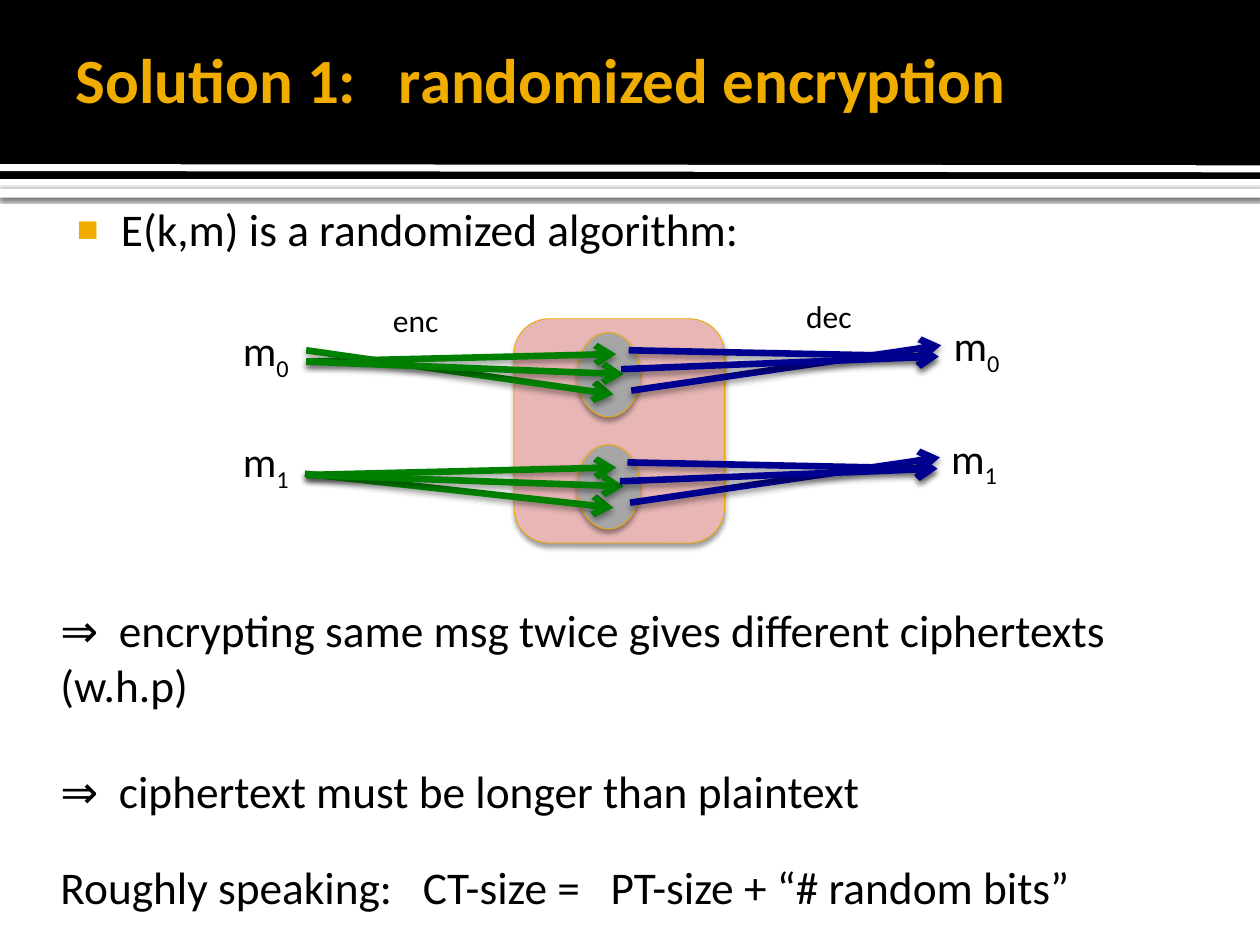
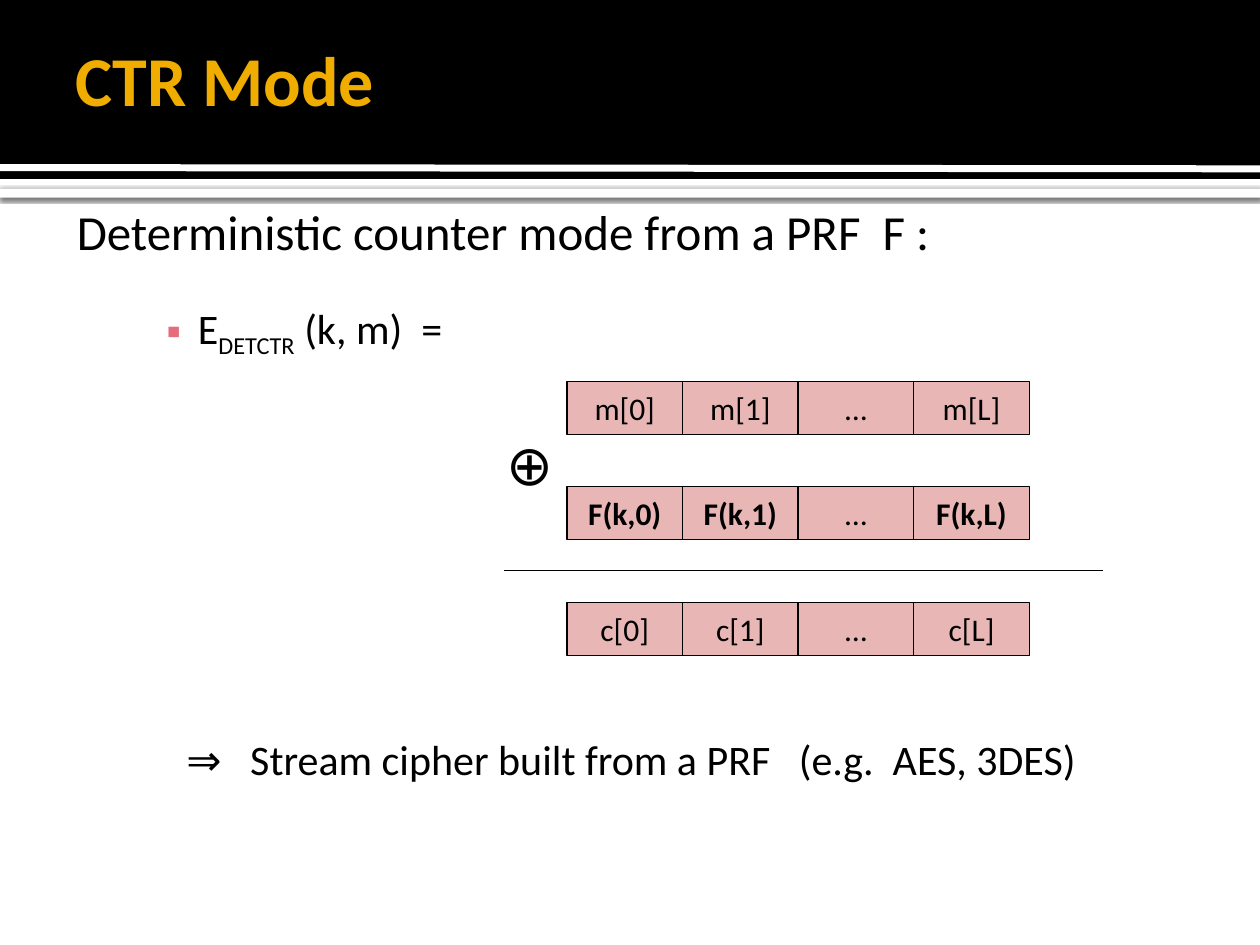
from dataclasses import dataclass

import pptx
import pptx.dml.color
import pptx.enum.shapes
import pptx.enum.text
import pptx.oxml
import pptx.oxml.ns
import pptx.util
from pptx.util import Inches, Pt

FONT = "Calibri"
BLACK, WHITE, GOLD = "000000", "FFFFFF", "F0AD00"
PINK, GREY, EDGE = "E8B6B5", "A6A6A6", "EBA900"
GREEN, BLUE, ROSE = "008000", "000090", "E66C7D"
SHAPES = pptx.enum.shapes.MSO_SHAPE
ANCHOR = pptx.enum.text.MSO_ANCHOR
ALIGN = pptx.enum.text.PP_ALIGN
NO_FIT = pptx.enum.text.MSO_AUTO_SIZE.NONE


@dataclass
class Shadow:
    opacity: int
    blur: float
    distance: float


@dataclass
class Bullet:
    symbol: str
    colour: str
    percent: int = 100


@dataclass
class Item:
    """A body paragraph; every second piece of its text is a subscript."""
    pieces: tuple[str, ...]
    size: float
    before: float = 0
    left: float = 0
    hanging: float = 0
    level: int = 0
    bullet: Bullet | None = None


@dataclass
class Fan:
    """Arrows between a message and its ciphertexts, as (x1, y1, x2, y2)."""
    colour: str
    message_at: tuple[float, float]
    index: str
    arrows: list[tuple[float, float, float, float]]


BAND_SHADOW = Shadow(60, 2.5, 0.8)
SHAPE_SHADOW = Shadow(38, 3.1, 2)
ARROW_SHADOW = Shadow(38, 3.5, 2)


def rgb(colour: str) -> pptx.dml.color.RGBColor:
    return pptx.dml.color.RGBColor.from_string(colour)


def add_xml(parent, markup: str) -> None:
    namespace = pptx.oxml.ns.nsdecls("a")
    tag, rest = markup[:-1].split(" ", 1) if " " in markup.split(">")[0] else (None, None)
    if tag is None:
        end = markup.index("/>") if markup.endswith("/>") else markup.index(">")
        markup = f"{markup[:end]} {namespace}{markup[end:]}"
    else:
        markup = f"{tag} {namespace} {rest}>"
    parent.append(pptx.oxml.parse_xml(markup))


def set_shadow(shape, shadow: Shadow | None) -> None:
    """Give the shape a downward shadow, or none."""
    effect = ""
    if shadow:
        effect = (f'<a:outerShdw blurRad="{Pt(shadow.blur)}" dist="{Pt(shadow.distance)}" '
                  f'dir="5400000" rotWithShape="0"><a:srgbClr val="{BLACK}">'
                  f'<a:alpha val="{shadow.opacity * 1000}"/></a:srgbClr></a:outerShdw>')
    add_xml(shape.element.spPr, f"<a:effectLst>{effect}</a:effectLst>")


def set_font(para, size: float, colour: str = BLACK, bold: bool = False) -> None:
    para.font.name = FONT
    para.font.size = Pt(size)
    para.font.bold = bold
    para.font.color.rgb = rgb(colour)


def add_spans(para, pieces: tuple[str, ...]) -> None:
    for number, piece in enumerate(pieces):
        span = para.add_run()
        span.text = piece
        if number % 2:
            span._r.get_or_add_rPr().set("baseline", "-25000")


def add_box(page, kind, left: float, top: float, width: float, height: float,
            fill: str, edge: str | None = None, weight: float = 0.5,
            shadow: Shadow | None = None):
    box = page.shapes.add_shape(kind, Inches(left), Inches(top),
                                Inches(width), Inches(height))
    box.fill.solid()
    box.fill.fore_color.rgb = rgb(fill)
    if edge:
        box.line.color.rgb = rgb(edge)
        box.line.width = Pt(weight)
    else:
        box.line.fill.background()
    set_shadow(box, shadow)
    return box


def add_line(page, ends: tuple[float, float, float, float], colour: str, weight: float,
             arrow: bool = False, shadow: Shadow | None = None):
    line = page.shapes.add_connector(pptx.enum.shapes.MSO_CONNECTOR.STRAIGHT,
                                     *(Inches(end) for end in ends))
    line.line.color.rgb = rgb(colour)
    line.line.width = Pt(weight)
    if arrow:
        add_xml(line.line._get_or_add_ln(), '<a:tailEnd type="arrow"/>')
    set_shadow(line, shadow)
    return line


def add_label(page, left: float, top: float, width: float, height: float,
              size: float, *pieces: str) -> None:
    box = page.shapes.add_textbox(Inches(left), Inches(top), Inches(width), Inches(height))
    box.text_frame.word_wrap = False
    para = box.text_frame.paragraphs[0]
    add_spans(para, pieces)
    set_font(para, size)


def place(holder, left: float, top: float, width: float, height: float,
          insets: tuple[float, float, float, float], anchor) -> None:
    holder.left, holder.top = Inches(left), Inches(top)
    holder.width, holder.height = Inches(width), Inches(height)
    frame = holder.text_frame
    frame.margin_left, frame.margin_top, frame.margin_right, frame.margin_bottom = (
        Inches(inset) for inset in insets)
    frame.vertical_anchor = anchor
    frame.word_wrap = True
    frame.auto_size = NO_FIT


def format_item(para, item: Item) -> None:
    add_spans(para, item.pieces)
    para.level = item.level
    para.line_spacing = 1.0
    para.space_before, para.space_after = Pt(item.before), Pt(0)
    properties = para._p.get_or_add_pPr()
    properties.set("marL", str(Inches(item.left)))
    properties.set("indent", str(Inches(-item.hanging)))
    if item.bullet:
        add_xml(properties, f'<a:buClr><a:srgbClr val="{item.bullet.colour}"/></a:buClr>')
        add_xml(properties, f'<a:buSzPct val="{item.bullet.percent * 1000}"/>')
        add_xml(properties, f'<a:buChar char="{item.bullet.symbol}"/>')
    else:
        add_xml(properties, "<a:buNone/>")
    set_font(para, item.size)


def add_page(deck, heading: str, heading_size: float, items: list[Item]):
    """Add a page with the shared bands, its title and its body list."""
    page = deck.slides.add_slide(deck.slide_layouts[1])
    title, body = page.shapes.title, page.placeholders[1]
    bands = [
        add_box(page, SHAPES.RECTANGLE, 0, 1.5, 10, 0.07, WHITE, shadow=BAND_SHADOW),
        add_box(page, SHAPES.RECTANGLE, 0, 0, 10, 1.42, BLACK),
        add_line(page, (0, 1.33, 10, 1.34), WHITE, 4),
    ]
    for band in bands:
        title.element.addprevious(band.element)

    place(title, 0.5, 0.08, 8.25, 1.08, (0.1, 0.05, 0.05, 0.05), ANCHOR.MIDDLE)
    title.text_frame.text = heading
    para = title.text_frame.paragraphs[0]
    para.alignment = ALIGN.LEFT
    set_font(para, heading_size, GOLD, bold=True)

    place(body, 0.42, 1.5, 9.33, 5.58, (0.06, 0.1, 0.1, 0.05), ANCHOR.TOP)
    frame = body.text_frame
    for number, item in enumerate(items):
        format_item(frame.add_paragraph() if number else frame.paragraphs[0], item)
    return page


def add_fan(page, fan: Fan) -> None:
    add_label(page, *fan.message_at, 0.6, 0.5, 24, "m", fan.index)
    for ends in fan.arrows:
        add_line(page, ends, fan.colour, 3.78, arrow=True, shadow=ARROW_SHADOW)


def build_randomized_encryption(deck) -> None:
    size = 25.9
    page = add_page(deck, "Solution 1:   randomized encryption", 36, [
        Item(("E(k,m) is a randomized algorithm:",), size, left=0.48, hanging=0.35,
             bullet=Bullet("■", GOLD, 80)),
        Item(("⇒  encrypting same msg twice gives different ciphertexts   (w.h.p)",),
             size, before=198),
        Item(("⇒  ciphertext must be longer than plaintext",), size, before=29.8),
        Item(("Roughly speaking:   CT-size =   PT-size + “# random bits”",),
             size, before=23.8),
    ])
    add_box(page, SHAPES.ROUNDED_RECTANGLE, 4.08, 2.53, 1.67, 1.78, PINK, EDGE,
            shadow=SHAPE_SHADOW)
    row_gap = 0.89
    for row in range(2):
        add_box(page, SHAPES.OVAL, 4.58, 2.64 + row * row_gap, 0.5, 0.67, GREY, EDGE,
                shadow=SHAPE_SHADOW)

    add_fan(page, Fan(GREEN, (1.83, 3.41), "1", [
        (2.43, 3.77, 4.89, 3.71), (2.42, 3.76, 4.87, 4.03), (2.43, 3.77, 4.95, 3.86)]))
    add_fan(page, Fan(GREEN, (1.83, 2.53), "0", [
        (2.43, 2.87, 4.89, 2.81), (2.43, 2.78, 4.87, 3.13), (2.43, 2.87, 4.95, 2.97)]))
    decryptions = [
        (4.99, 2.78, 7.45, 2.83), (5.01, 3.1, 7.47, 2.74), (4.93, 2.93, 7.45, 2.83)]
    for row in range(2):
        across, down = -0.01 * row, row_gap * row
        add_fan(page, Fan(BLUE, (7.47 + 2 * across, 2.49 + down), str(row), [
            (x1 + across, y1 + down, x2 + across, y2 + down)
            for x1, y1, x2, y2 in decryptions]))
    add_label(page, 3.02, 2.34, 0.57, 0.4, 18, "enc")
    add_label(page, 6.3, 2.31, 0.57, 0.4, 18, "dec")


def build_counter_mode(deck) -> None:
    page = add_page(deck, "CTR Mode", 40, [
        Item(("Deterministic counter mode from a PRF  F :",), 28, left=0.48, hanging=0.35),
        Item(("E", "DETCTR", " (k, m)  ="), 24, before=23.8, left=1.09, hanging=0.25,
             level=1, bullet=Bullet("▪", ROSE)),
        Item(("⇒   Stream cipher built from a PRF   (e.g.  AES, 3DES)",), 24,
             before=214, left=1, level=1),
    ])
    block_rows = {
        3.03: ("m[0]", "m[1]", "…", "m[L]"),
        3.86: ("F(k,0)", "F(k,1)", "…", "F(k,L)"),
        4.78: ("c[0]", "c[1]", "…", "c[L]"),
    }
    block_width = 3.67 / 4
    for top, blocks in block_rows.items():
        for column, text in enumerate(blocks):
            block = add_box(page, SHAPES.RECTANGLE, 4.5 + column * block_width, top,
                            block_width, 0.42, PINK, BLACK, 0.75)
            block.text_frame.word_wrap = False
            block.text_frame.vertical_anchor = ANCHOR.MIDDLE
            para = block.text_frame.paragraphs[0]
            para.alignment = ALIGN.CENTER
            add_spans(para, (text,))
            set_font(para, 18, bold=text.startswith("F"))
    add_label(page, 3.92, 3.36, 0.55, 0.64, 32, "⊕")
    add_line(page, (4, 4.53, 8.75, 4.53), BLACK, 0.75)


def main() -> None:
    deck = pptx.Presentation()
    deck.slide_width, deck.slide_height = Inches(10), Inches(7.5)
    build_randomized_encryption(deck)
    build_counter_mode(deck)
    deck.save("out.pptx")


if __name__ == "__main__":
    main()
